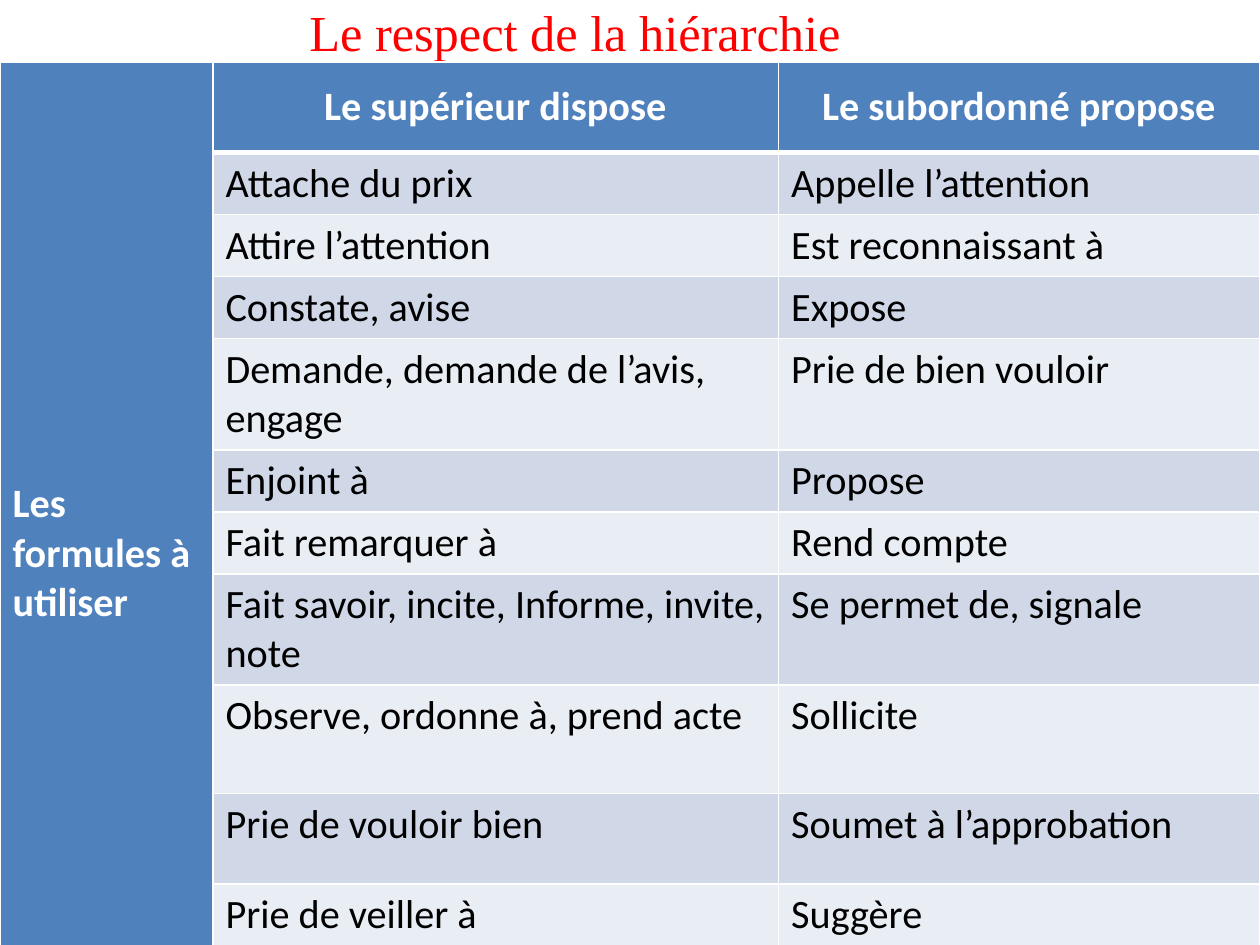
from lxml import etree
from pptx import Presentation
from pptx.dml.color import RGBColor
from pptx.enum import text
from pptx.oxml import ns
from pptx.util import Inches, Pt

BLUE, BANDS = "4F81BD", ("D0D8E8", "E9EDF4")
WHITE, BLACK, RED = "FFFFFF", "000000", "FF0000"
SIDE = "Les formules à utiliser"
HEADERS = ("Le supérieur dispose", "Le subordonné propose")
LOW, MID, HIGH = 0.48, 0.72, 0.86
FORMULAS = [
    ("Attache du prix", "Appelle l’attention", LOW),
    ("Attire l’attention", "Est reconnaissant à", LOW),
    ("Constate, avise", "Expose", LOW),
    ("Demande, demande de l’avis, engage", "Prie de bien vouloir", HIGH),
    ("Enjoint à", "Propose", LOW),
    ("Fait remarquer à", "Rend compte", LOW),
    ("Fait savoir, incite, Informe, invite, note", "Se permet de, signale", HIGH),
    ("Observe, ordonne à, prend acte", "Sollicite", HIGH),
    ("Prie de vouloir bien", "Soumet à l’approbation", MID),
    ("Prie de veiller à", "Suggère", LOW),
]
COL_WIDTHS = (1.69, 4.49, 3.82)
MIDDLE, CENTER, LEFT = text.MSO_ANCHOR.MIDDLE, text.PP_ALIGN.CENTER, text.PP_ALIGN.LEFT


def color(value):
    return RGBColor.from_string(value)


def write(tf, words, fill, align=LEFT, **fmt):
    p = tf.paragraphs[0]
    p.alignment = align
    r = p.add_run()
    r.text = words
    for name, value in fmt.items():
        setattr(r.font, name, value)
    r.font.color.rgb = color(fill)


def add_borders(cell, **widths):
    tcPr = cell._tc.get_or_add_tcPr()
    for side in "LRTB":
        ln = etree.SubElement(tcPr, ns.qn(f"a:ln{side}"), w=str(Pt(widths.get(side, 1))))
        fill = etree.SubElement(ln, ns.qn("a:solidFill"))
        etree.SubElement(fill, ns.qn("a:srgbClr"), val=WHITE)


def fill_cell(cell, words, fill, header=False, align=LEFT, **widths):
    add_borders(cell, **widths)
    cell.fill.solid()
    cell.fill.fore_color.rgb = color(fill)
    cell.vertical_anchor = MIDDLE if header else text.MSO_ANCHOR.TOP
    write(cell.text_frame, words, WHITE if header else BLACK, align,
          name="Calibri", size=Pt(23), bold=header)


def add_title(s, box):
    sp = s.shapes.title
    for name, value in zip(("left", "top", "width", "height"), box):
        setattr(sp, name, Inches(value))
    tf = sp.text_frame
    tf.auto_size = text.MSO_AUTO_SIZE.NONE
    tf.vertical_anchor = MIDDLE
    write(tf, "Le respect de la hiérarchie", RED, CENTER,
          name="Times New Roman", size=Pt(28.8))


def add_formulas(s, box):
    heights = [MID] + [height for *_, height in FORMULAS]
    tbl = s.shapes.add_table(len(heights), len(COL_WIDTHS), *map(Inches, box)).table
    for col, width in zip(tbl.columns, COL_WIDTHS):
        col.width = Inches(width)
    for row, height in zip(tbl.rows, heights):
        row.height = Inches(height)
    tbl.cell(0, 0).merge(tbl.cell(len(heights) - 1, 0))
    fill_cell(tbl.cell(0, 0), SIDE, BLUE, header=True, B=3)
    for c, words in enumerate(HEADERS, 1):
        fill_cell(tbl.cell(0, c), words, BLUE, header=True, align=CENTER, B=3)
    for i, (*pair, _) in enumerate(FORMULAS):
        for c, words in enumerate(pair, 1):
            fill_cell(tbl.cell(i + 1, c), words, BANDS[i % 2], T=1 if i else 3)


def main():
    prs = Presentation()
    prs.slide_width, prs.slide_height = Inches(10), Inches(7.5)
    s = prs.slides.add_slide(prs.slide_layouts[5])
    add_formulas(s, (0, 0.49, 10, 6.93))
    add_title(s, (1.22, 0, 6.69, 0.49))
    prs.save("out.pptx")


if __name__ == "__main__":
    main()
